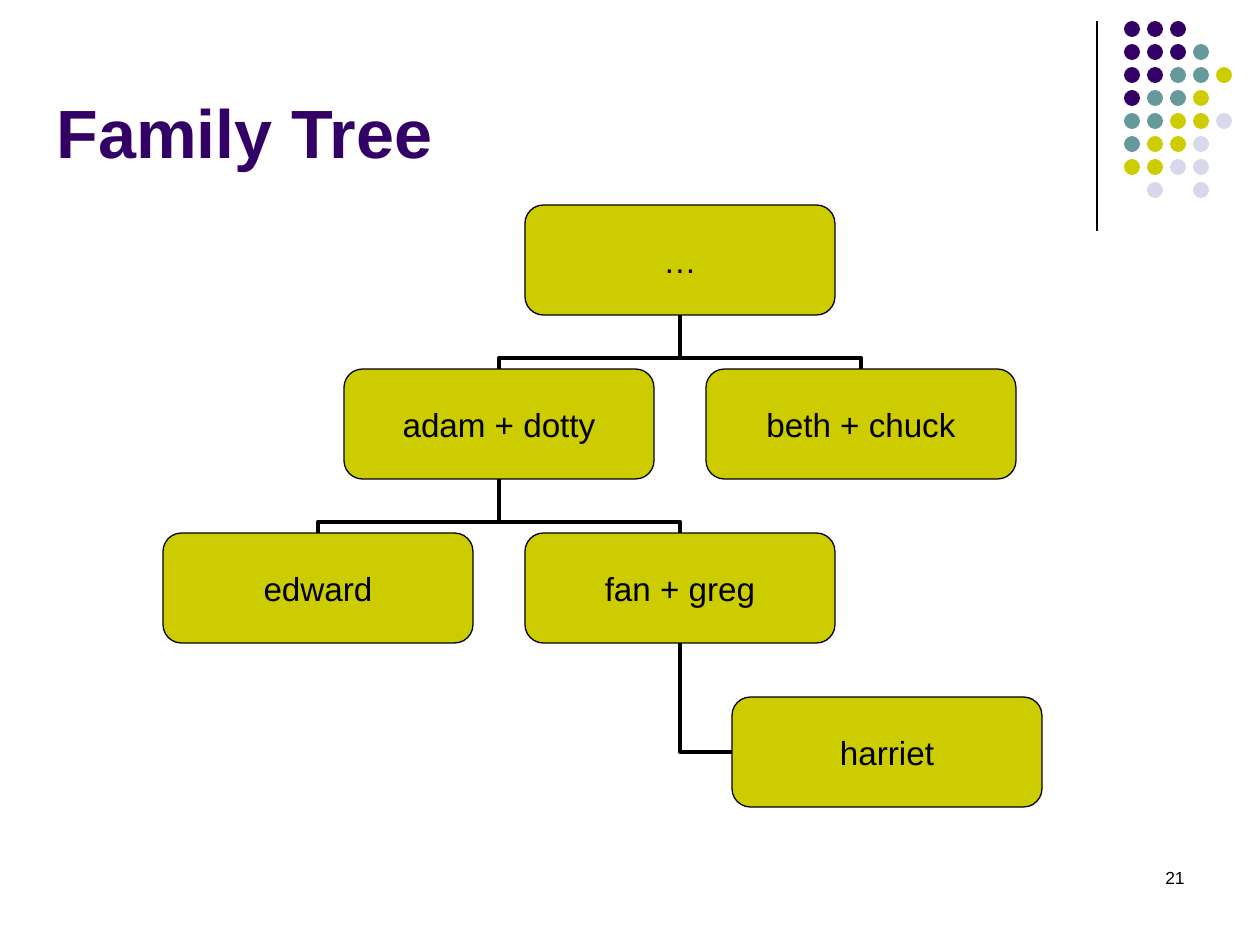
from dataclasses import dataclass

from lxml.etree import SubElement
from pptx import Presentation
from pptx.dml.color import RGBColor
from pptx.enum.shapes import MSO_CONNECTOR as CONN, MSO_SHAPE as SHAPE
from pptx.enum.text import MSO_ANCHOR as ANCHOR, PP_ALIGN as ALIGN
from pptx.oxml.ns import qn
from pptx.util import Emu, Pt


@dataclass(frozen=True)
class Theme:
    font: str = "Arial"
    ink: str = "000000"
    purple: str = "330066"
    teal: str = "669999"
    lime: str = "CCCC00"
    pale: str = "D8D8EC"
    title_size: int = 39
    node_size: int = 19
    number_size: int = 10
    thin: float = 0.75
    thick: float = 2.25


THEME = Theme()
DOT_COLORS = {"P": THEME.purple, "T": THEME.teal, "L": THEME.lime, "G": THEME.pale}
DOT_ROWS = ["PPP", "PPPT", "PPTTL", "PTTL", "TTLLG", "TLLG", "LLGG", " G G"]

# name: (label, column, row, parent)
FAMILY = {
    "root": ("…", 2, 0, None),
    "adam": ("adam + dotty", 1, 1, "root"),
    "beth": ("beth + chuck", 3, 1, "root"),
    "edward": ("edward", 0, 2, "adam"),
    "fan": ("fan + greg", 2, 2, "adam"),
    "harriet": ("harriet", 2, 3, "fan"),
}
NODE_W, NODE_H = 310, 110
COL_STEP, ROW_STEP = 181, 164
HANG_INDENT = 207
BAR_POSITION = 0.21  # share of the gap between the child and the crossbar


def px(n):
    return Emu(round(n * 914400 / 126))


def rgb(color):
    return RGBColor.from_string(color)


def write(tf, text, size, color, align, bold=False):
    p = tf.paragraphs[0]
    p.alignment = align
    r = p.add_run()
    r.text = text
    r.font.name, r.font.size, r.font.bold = THEME.font, Pt(size), bold
    r.font.color.rgb = rgb(color)


def add_filled(shapes, kind, x, y, w, h, color):
    sp = shapes.add_shape(kind, px(x), px(y), px(w), px(h))
    sp.shadow.inherit = False
    sp.fill.solid()
    sp.fill.fore_color.rgb = rgb(color)
    return sp


def style_line(line, width):
    line.color.rgb = rgb(THEME.ink)
    line.width = Pt(width)


def add_line(shapes, kind, width):
    cxn = shapes.add_connector(kind, 0, 0, 0, 0)
    style_line(cxn.line, width)
    SubElement(cxn._element.spPr, qn("a:effectLst"))
    return cxn


def add_title(slide, x, y, w, h):
    sp = slide.shapes.title
    sp.left, sp.top, sp.width, sp.height = px(x), px(y), px(w), px(h)
    sp.text_frame.vertical_anchor = ANCHOR.BOTTOM
    write(sp.text_frame, "Family Tree", THEME.title_size, THEME.purple, ALIGN.LEFT, True)


def add_dots(slide, x, y):
    rule = add_line(slide.shapes, CONN.STRAIGHT, THEME.thin)
    rule.begin_x = rule.end_x = px(x)
    rule.begin_y, rule.end_y = px(y), px(y + 210)
    group = slide.shapes.add_group_shape()
    step, size = 23, 16
    for row, codes in enumerate(DOT_ROWS):
        for col, code in enumerate(codes):
            if code != " ":
                dot = add_filled(group.shapes, SHAPE.OVAL, x + 27 + col * step,
                                 y + row * step, size, size, DOT_COLORS[code])
                dot.line.fill.background()


def add_node(slide, label, x, y):
    sp = add_filled(slide.shapes, SHAPE.ROUNDED_RECTANGLE, x, y, NODE_W, NODE_H, THEME.lime)
    sp.adjustments[0] = 0.167
    style_line(sp.line, THEME.thin)
    tf = sp.text_frame
    tf.margin_left = tf.margin_right = tf.margin_top = tf.margin_bottom = 0
    tf.word_wrap = False
    tf.vertical_anchor = ANCHOR.MIDDLE
    write(tf, label, THEME.node_size, THEME.ink, ALIGN.CENTER)
    return sp


def add_branch(slide, child, parent, hanging):
    """Run an elbow from the child up to the middle of the parent's bottom side."""
    cxn = add_line(slide.shapes, CONN.ELBOW, THEME.thick)
    cxn.begin_connect(child, 1 if hanging else 0)
    cxn.end_connect(parent, 2)
    dx, dy = cxn.end_x - cxn.begin_x, cxn.begin_y - cxn.end_y
    mid_x, mid_y = (cxn.begin_x + cxn.end_x) // 2, (cxn.begin_y + cxn.end_y) // 2
    geom = cxn._element.spPr.find(qn("a:prstGeom"))
    if hanging:
        geom.set("prst", "bentConnector2")
        w, h, angle, flip_h, flip_v = abs(dx), dy, 180, 0, 0
    else:
        SubElement(geom.find(qn("a:avLst")), qn("a:gd"), name="adj1",
                   fmla=f"val {round(BAR_POSITION * 100000)}")
        # the elbow is drawn sideways, so its box is turned a quarter
        w, h, flip_v = dy, abs(dx), 1
        angle, flip_h = (90, 1) if dx > 0 else (270, 0)
    cxn.left, cxn.top = Emu(mid_x - w // 2), Emu(mid_y - h // 2)
    cxn.width, cxn.height = Emu(w), Emu(h)
    xfrm = cxn._element.spPr.find(qn("a:xfrm"))
    for name, value in (("rot", angle * 60000), ("flipH", flip_h), ("flipV", flip_v)):
        xfrm.set(name, str(value))


def add_tree(slide, x, y):
    nodes = {}
    for name, (label, col, row, parent) in FAMILY.items():
        hanging = parent is not None and FAMILY[parent][1] == col
        indent = HANG_INDENT if hanging else 0
        nodes[name] = add_node(slide, label, x + col * COL_STEP + indent, y + row * ROW_STEP)
        if parent:
            add_branch(slide, nodes[name], nodes[parent], hanging)


def add_page_number(slide, x, y, w, h):
    tf = slide.shapes.add_textbox(px(x), px(y), px(w), px(h)).text_frame
    tf.word_wrap = True
    write(tf, "21", THEME.number_size, THEME.ink, ALIGN.RIGHT)


def main():
    prs = Presentation()
    prs.slide_width, prs.slide_height = px(1260), px(945)
    slide = prs.slides.add_slide(prs.slide_layouts[5])
    add_dots(slide, 1097, 21)
    add_page_number(slide, 903, 861, 294, 63)
    add_title(slide, 44, 0, 1040, 179)
    add_tree(slide, 163, 205)
    prs.save("out.pptx")


if __name__ == "__main__":
    main()
